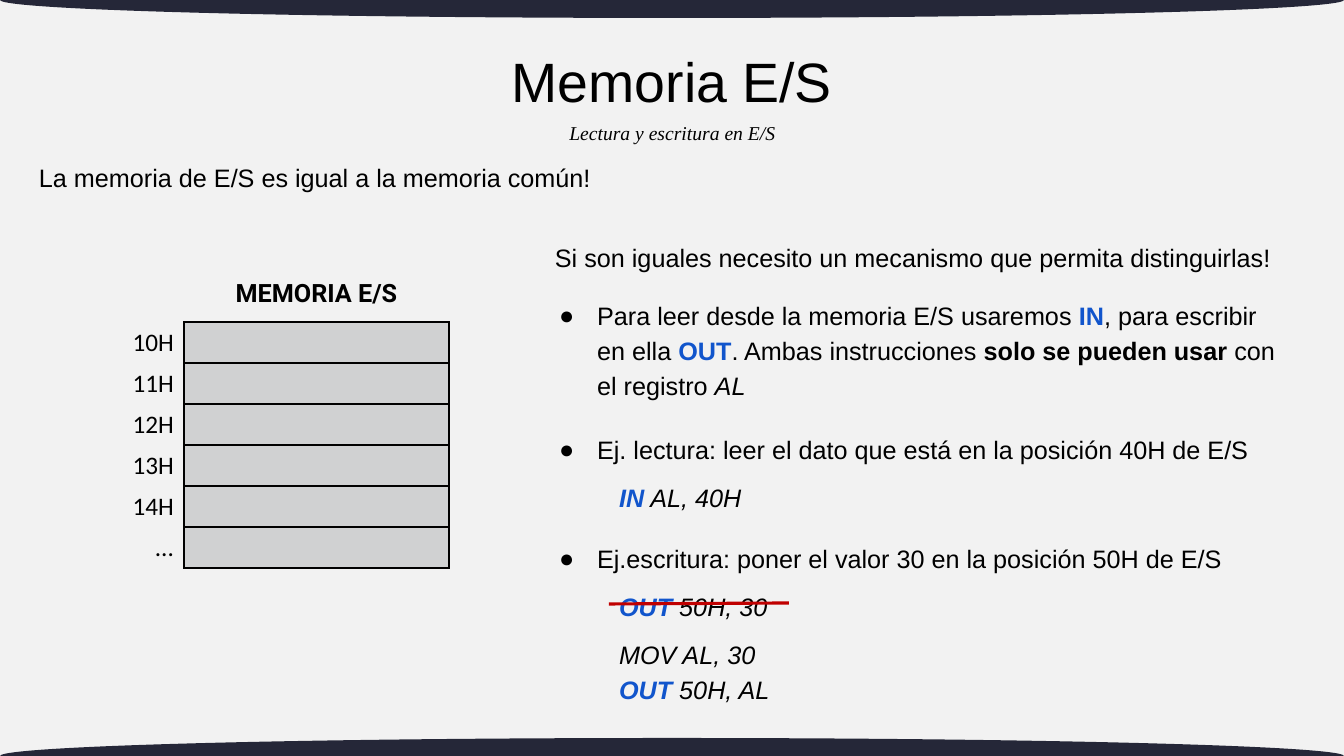
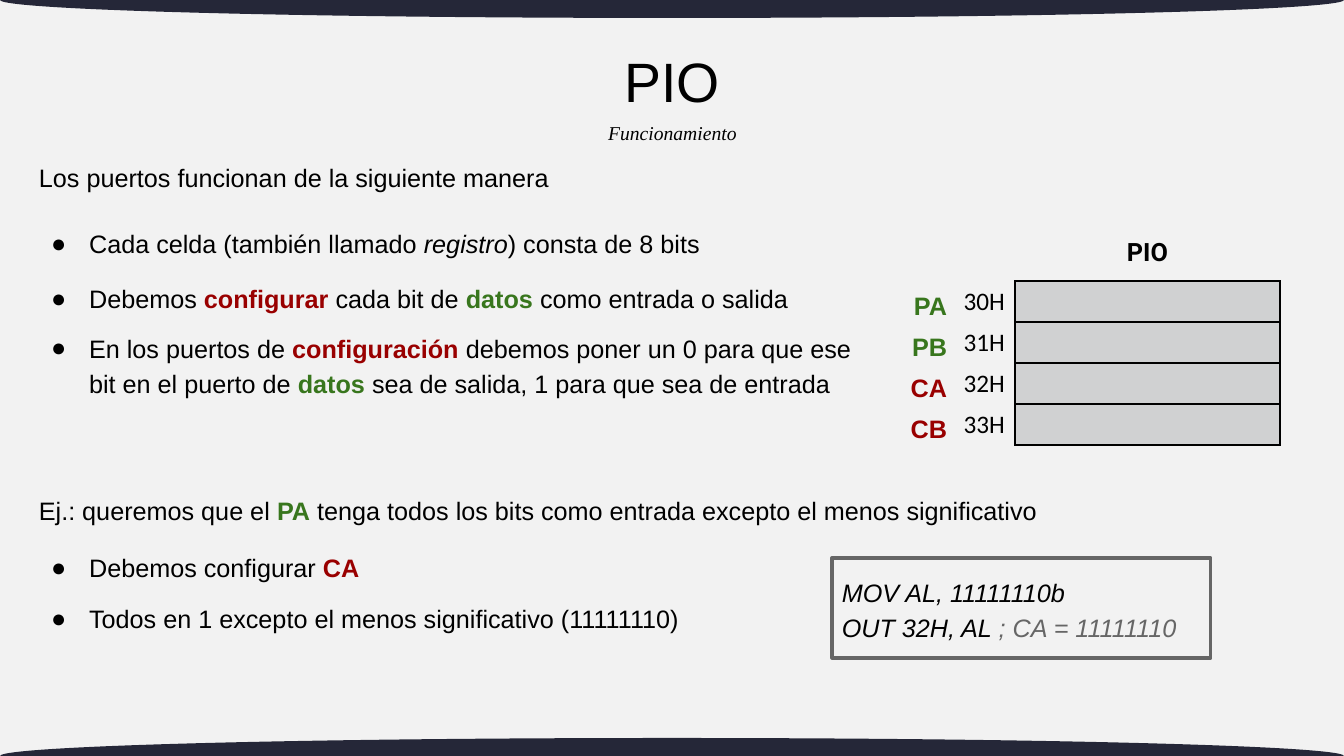
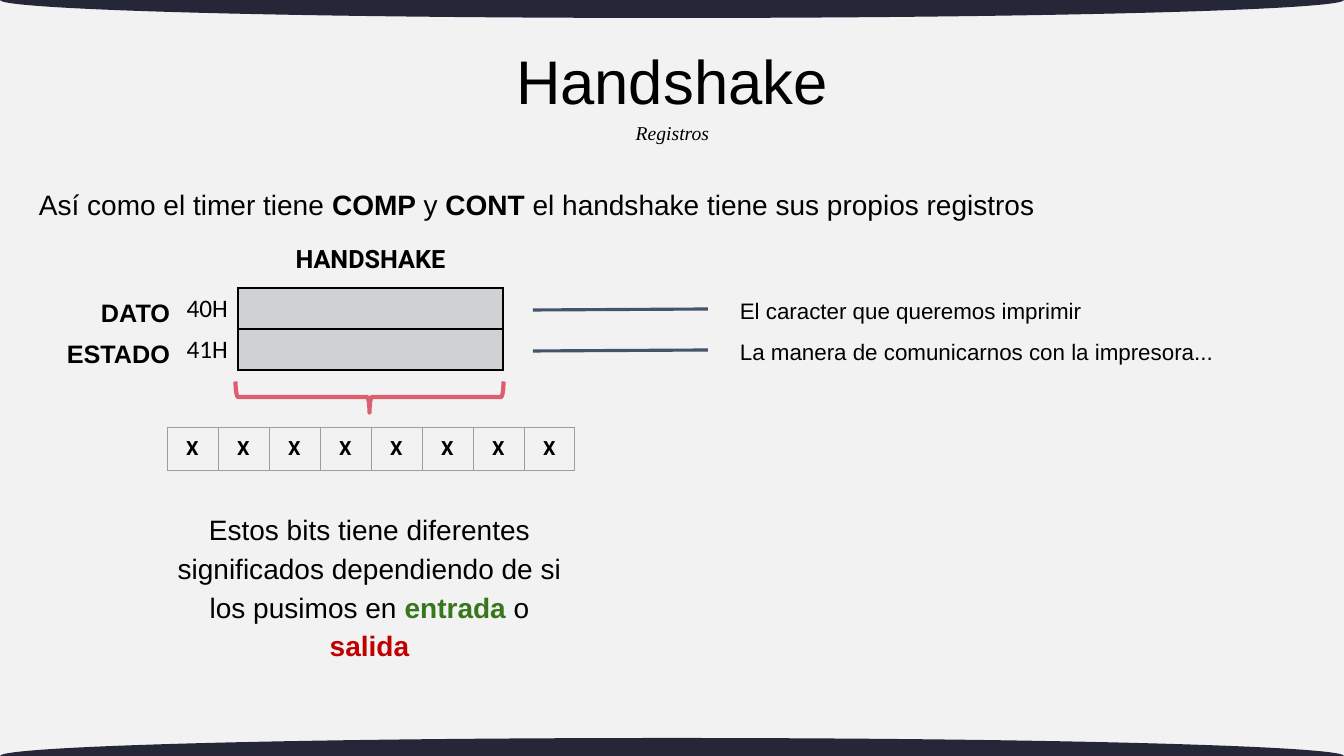
from lxml import etree
from pptx import Presentation
from pptx import util as u
from pptx.dml.color import RGBColor
from pptx.enum import shapes, text
from pptx.oxml.ns import qn

HEX = {
    "paper": "F2F2F2", "band": "252738", "black": "000000", "cell": "D0D1D2",
    "blue": "1155CC", "green": "38761D", "wine": "990000", "red": "C00000",
    "gray": "666666", "slate": "44546A", "rose": "DC5F6F", "grid": "9E9E9E",
}
WIDE, HIGH = 1344, 756
ROW, ADDR, CELL = 41, 114, 265
LEFT, MID, RIGHT = text.PP_ALIGN.LEFT, text.PP_ALIGN.CENTER, text.PP_ALIGN.RIGHT
TOP, CENTER = text.MSO_ANCHOR.TOP, text.MSO_ANCHOR.MIDDLE


def px(*nums):
    """Turn px (100.8 to the inch) into EMU."""
    return [u.Emu(round(n * 914400 / 100.8)) for n in nums]


def rgb(name):
    return RGBColor.from_string(HEX[name])


def edge(cell, sides):
    """Set borders from {side: (colour, points)}; sides left out get no line."""
    props = cell._tc.get_or_add_tcPr()
    for side in "LRTB":
        line = etree.SubElement(props, qn("a:ln" + side))
        if side in sides:
            tint, wide = sides[side]
            line.set("w", str(u.Pt(wide)))
            fill = etree.SubElement(line, qn("a:solidFill"))
            etree.SubElement(fill, qn("a:srgbClr")).set("val", HEX[tint])
        else:
            etree.SubElement(line, qn("a:noFill"))


class Deck:
    def __init__(self):
        self.prs = Presentation()
        self.prs.slide_width, self.prs.slide_height = px(WIDE, HIGH)
        self.slide = None
        fill = self.prs.slide_master.background.fill
        fill.solid()
        fill.fore_color.rgb = rgb("paper")

    def bands(self):
        """Draw the two bands once and hand them to the master."""
        for top in (-18, HIGH - 18):
            oval = self.slide.shapes.add_shape(
                shapes.MSO_SHAPE.OVAL, *px(0, top, WIDE, 36))
            oval.shadow.inherit = False
            oval.fill.solid()
            oval.fill.fore_color.rgb = rgb("band")
            oval.line.fill.background()
            self.prs.slide_master.shapes.element.insert(2, oval.element)

    def start(self, layout, title, sub, size=39.6):
        first = self.slide is None
        self.slide = self.prs.slides.add_slide(self.prs.slide_layouts[layout])
        if first:
            self.bands()
        head = self.slide.shapes.title
        self.place(head, (346, 37, 652, 95), CENTER)
        self.para(head.text_frame.paragraphs[0], [title], size, align=MID, gap=0.9)
        self.label((444, 116, 457, 34), sub, 14, "Times New Roman", "i")

    def place(self, shape, box, anchor):
        shape.left, shape.top, shape.width, shape.height = px(*box)
        frame = shape.text_frame
        frame.word_wrap = True
        frame.auto_size = text.MSO_AUTO_SIZE.NONE
        frame.vertical_anchor = anchor

    def para(self, par, runs, size=18, font="Arial", look="", align=LEFT,
             gap=1.15, before=0):
        """Runs are strings or (string, look); a look lists b, i or a colour."""
        par.alignment, par.line_spacing = align, gap
        par.space_before = u.Pt(before)
        for item in runs:
            words, own = (item, "") if isinstance(item, str) else item
            marks = (look + " " + own).split()
            run = par.add_run()
            run.text = words
            run.font.size, run.font.name = u.Pt(size), font
            run.font.bold, run.font.italic = "b" in marks, "i" in marks
            tints = [m for m in marks if m in HEX]
            run.font.color.rgb = rgb(tints[-1] if tints else "black")

    def note(self, box, *lines, line=None, **style):
        """Add a vertically centred text box, one list of runs a line."""
        shape = self.slide.shapes.add_textbox(*px(*box))
        self.place(shape, box, CENTER)
        frame = shape.text_frame
        for num, runs in enumerate(lines):
            par = frame.add_paragraph() if num else frame.paragraphs[0]
            self.para(par, runs, **style)
        if line:
            shape.line.color.rgb = rgb(line)
            shape.line.width = u.Pt(2.25)

    def label(self, box, words, size, font, look):
        shape = self.slide.shapes.add_textbox(*px(*box))
        self.place(shape, box, TOP)
        self.para(shape.text_frame.paragraphs[0], [words], size, font, look, MID, 1)

    def list(self, spot, box, *items):
        """Fill a body placeholder; items are (space before, bullet?, runs)."""
        body = self.slide.placeholders[spot]
        self.place(body, box, TOP)
        frame = body.text_frame
        for num, (before, dot, runs) in enumerate(items):
            par = frame.add_paragraph() if num else frame.paragraphs[0]
            self.para(par, runs, before=before)
            props = par._p.get_or_add_pPr()
            left, hang = px(50, -38) if dot else px(72, 0)
            props.set("marL", str(left))
            props.set("indent", str(hang))
            if dot:
                etree.SubElement(props, qn("a:buFont")).set("typeface", "Arial")
                etree.SubElement(props, qn("a:buChar")).set("char", "●")
            else:
                etree.SubElement(props, qn("a:buNone"))

    def table(self, x, y, cols, rows, high):
        wide = sum(cols)
        grid = self.slide.shapes.add_table(
            rows, len(cols), *px(x, y, wide, high * rows)).table
        grid.first_row = grid.horz_banding = False
        for col, size in zip(grid.columns, cols):
            col.width = px(size)[0]
        for row in grid.rows:
            row.height = px(high)[0]
        return grid

    def bank(self, x, y, name, addrs, tags=(), foot=1):
        """Draw a column of memory cells with addresses and register names."""
        self.label((x + ADDR, y - 50, CELL, 50), name, 18, "Roboto", "b")
        grid = self.table(x, y, (ADDR, CELL), len(addrs), ROW)
        thin = ("black", 1)
        for num, addr in enumerate(addrs):
            mark, cell = grid.cell(num, 0), grid.cell(num, 1)
            low = foot if num == len(addrs) - 1 else 1
            edge(mark, {"R": thin})
            edge(cell, {"L": thin, "T": thin, "R": ("black", 2.25), "B": ("black", low)})
            mark.fill.background()
            cell.fill.solid()
            cell.fill.fore_color.rgb = rgb("cell")
            self.para(mark.text_frame.paragraphs[0], [addr], 18, "Calibri",
                      align=RIGHT, gap=1)
        for num, (tag, tint) in enumerate(tags):
            self.note((x - 69, y + 1 + ROW * num, 125, 43), [(tag, tint)],
                      look="b", align=RIGHT)

    def bits(self, x, y, count):
        grid = self.table(x, y, [51] * count, 1, 43)
        for cell in grid.iter_cells():
            edge(cell, {side: ("grid", 0.75) for side in "LRTB"})
            cell.fill.background()
            cell.margin_top, cell.margin_bottom = px(10, 10)
            self.para(cell.text_frame.paragraphs[0], ["X"], 14, "Roboto", "b", MID, 1)

    def rule(self, ends, tint):
        line = self.slide.shapes.add_connector(
            shapes.MSO_CONNECTOR.STRAIGHT, *px(*ends))
        line.line.color.rgb = rgb(tint)
        line.line.width = u.Pt(2.25)
        etree.SubElement(line.element.spPr, qn("a:effectLst"))

    def brace(self, box):
        shape = self.slide.shapes.add_shape(shapes.MSO_SHAPE.RIGHT_BRACE, *px(*box))
        shape.shadow.inherit = False
        shape.rotation = 90
        shape.adjustments[0] = 0.08
        shape.fill.background()
        shape.line.color.rgb = rgb("rose")
        shape.line.width = u.Pt(3)


def memory(deck):
    deck.start(1, "Memoria E/S", "Lectura y escritura en E/S")
    deck.note((29, 154, 580, 43), ["La memoria de E/S es igual a la memoria común!"])
    deck.bank(70, 322, "MEMORIA E/S",
              ["10H", "11H", "12H", "13H", "14H", "..."], foot=2.25)
    deck.note((545, 234, 762, 43),
              ["Si son iguales necesito un mecanismo que permita distinguirlas!"])
    deck.list(
        1, (537, 291, 762, 420),
        (0, True, ["Para leer desde la memoria E/S usaremos ", ("IN", "b blue"),
                   ", para escribir en ella ", ("OUT", "b blue"),
                   ". Ambas instrucciones ", ("solo se pueden usar", "b"),
                   " con el registro ", ("AL", "i")]),
        (21, True, ["Ej. lectura: leer el dato que está en la posición 40H de E/S"]),
        (9.5, False, [("IN", "b i blue"), (" AL, 40H", "i")]),
        (19, True, ["Ej.escritura: poner el valor 30 en la posición 50H de E/S"]),
        (9.5, False, [("OUT", "b i blue"), (" 50H, 30", "i")]),
        (9, False, [("MOV AL, 30", "i")]),
        (0, False, [("OUT", "b i blue"), (" 50H, AL", "i")]))
    deck.rule((609, 604, 789, 603), "red")


def ports(deck):
    deck.start(3, "PIO", "Funcionamiento")
    deck.note((29, 154, 872, 43), ["Los puertos funcionan de la siguiente manera"])
    deck.list(
        1, (29, 219, 845, 190),
        (0, True, ["Cada celda (también llamado ", ("registro", "i"),
                   ") consta de 8 bits"]),
        (14.5, True, ["Debemos ", ("configurar", "b wine"), " cada bit de ",
                      ("datos", "b green"), " como entrada o salida"]),
        (10.5, True, ["En los puertos de ", ("configuración ", "b wine"),
                      "debemos poner un 0 para que ese bit en el puerto de ",
                      ("datos", "b green"),
                      " sea de salida, 1 para que sea de entrada"]))
    deck.bank(901, 281, "PIO", ["30H", "31H", "32H", "33H"],
              [("PA", "green"), ("PB", "green"), ("CA", "wine"), ("CB", "wine")])
    deck.note((29, 487, 1036, 43),
              ["Ej.: queremos que el ", ("PA", "b green"),
               " tenga todos los bits como entrada excepto el menos significativo"])
    deck.list(
        2, (29, 543, 686, 105),
        (0, True, ["Debemos configurar ", ("CA", "b wine")]),
        (11.5, True, ["Todos en 1 excepto el menos significativo (11111110)"]))
    deck.note((832, 558, 379, 100), ["MOV AL, 11111110b"],
              ["OUT 32H, AL ", ("; CA = 11111110", "gray")], look="i", line="gray")


def shake(deck):
    deck.start(5, "Handshake", "Registros", 44)
    deck.note((29, 173, 1287, 57),
              ["Así como el timer tiene ", ("COMP ", "b"), "y ", ("CONT", "b"),
               " el handshake tiene sus propios registros"], size=20)
    deck.bank(124, 288, "HANDSHAKE", ["40H", "41H"],
              [("DATO", "black"), ("ESTADO", "black")])
    facts = ("El caracter que queremos imprimir",
             "La manera de comunicarnos con la impresora...")
    for num, fact in enumerate(facts):
        drop = ROW * num
        deck.rule((533, 310 + drop, 708, 309 + drop), "slate")
        deck.note((730, 290 + drop, 601, 38), [fact], size=16)
    deck.brace((354, 263, 31, 268))
    deck.bits(167, 427, 8)
    deck.note((167, 506, 405, 158),
              ["Estos bits tiene diferentes significados dependiendo de si "
               "los pusimos en ", ("entrada ", "b green"), "o ", ("salida", "b red")],
              size=20, align=MID)


def main():
    deck = Deck()
    for build in (memory, ports, shake):
        build(deck)
    deck.prs.save("out.pptx")


if __name__ == "__main__":
    main()
